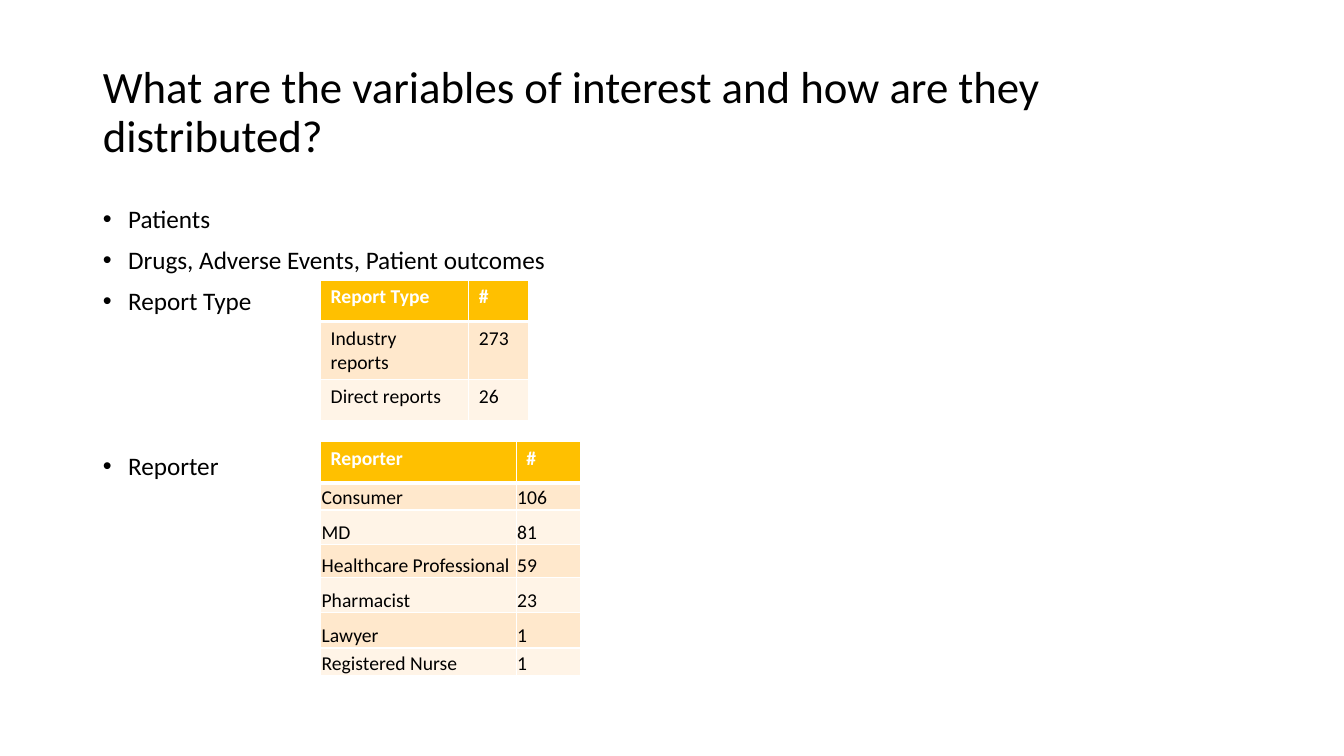
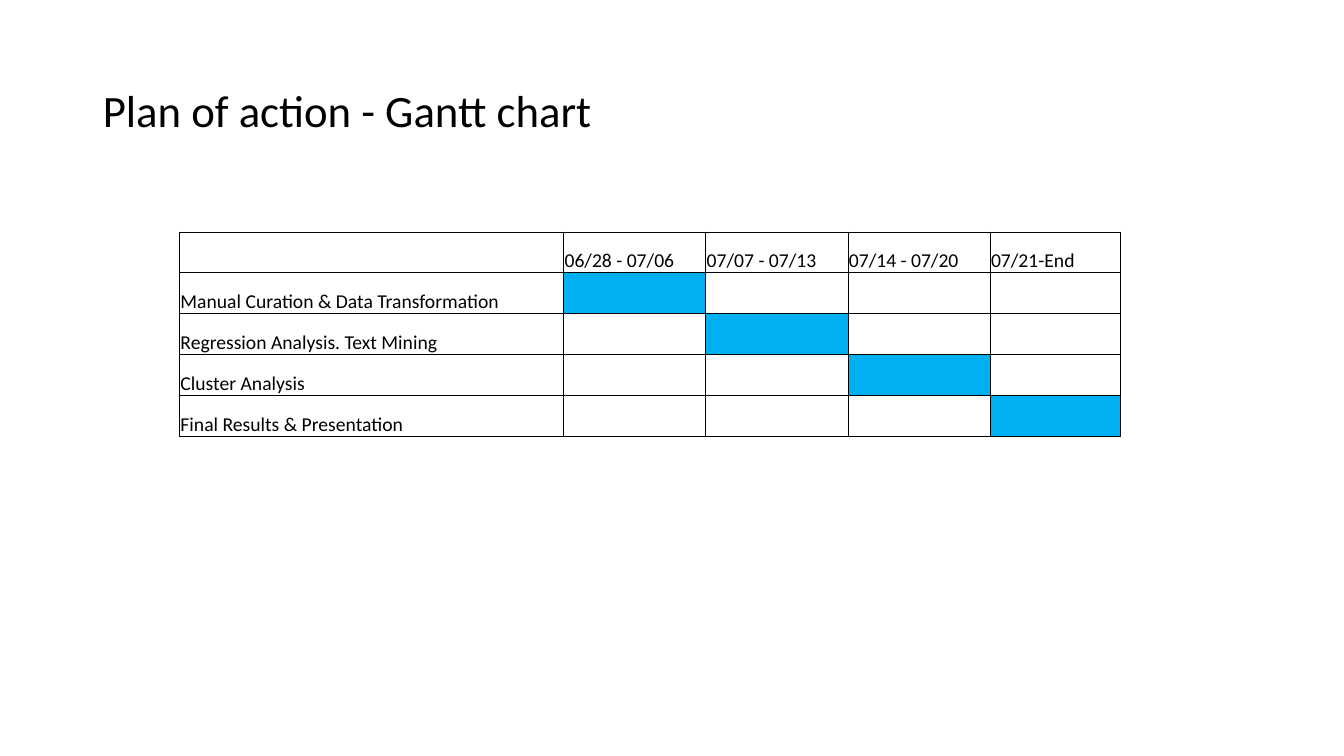
from dataclasses import dataclass

from lxml.etree import SubElement
from pptx import Presentation
from pptx.dml.color import RGBColor
from pptx.enum.text import MSO_ANCHOR, MSO_AUTO_SIZE, PP_ALIGN
from pptx.oxml.ns import qn
from pptx.slide import Slide
from pptx.table import _Cell
from pptx.util import Inches, Pt

FONT = "Calibri"
COLORS = {
    "text": "000000",
    "white": "FFFFFF",
    "header": "FFC000",
    "band_dark": "FFE8CC",
    "band_light": "FFF4E7",
    "bar": "00B0F0",
}
TITLE_AND_CONTENT, TITLE_ONLY = 1, 5
LEFT, WIDTH = 0.92, 11.5
BULLET_INDENT = 0.25


@dataclass(frozen=True)
class Bullet:
    text: str
    space_before: float = 10


@dataclass(frozen=True)
class CellStyle:
    fill: str | None = None
    color: str = "text"
    bold: bool = False
    tight: bool = True


@dataclass(frozen=True)
class TableLayout:
    left: float
    top: float
    column_widths: list[float]
    row_heights: list[float]


REPORT_TYPES = [("Report Type", "#"), ("Industry reports", "273"), ("Direct reports", "26")]
REPORTERS = [
    ("Reporter", "#"),
    ("Consumer", "106"),
    ("MD", "81"),
    ("Healthcare Professional", "59"),
    ("Pharmacist", "23"),
    ("Lawyer", "1"),
    ("Registered Nurse", "1"),
]
PERIODS = ["06/28 - 07/06", "07/07 - 07/13", "07/14 - 07/20", "07/21-End"]
# Each task fills the period of the same rank.
TASKS = [
    "Manual Curation & Data Transformation",
    "Regression Analysis. Text Mining",
    "Cluster Analysis",
    "Final Results & Presentation",
]
BULLETS = [
    Bullet("Patients"),
    Bullet("Drugs, Adverse Events, Patient outcomes"),
    Bullet("Report Type"),
    Bullet("Reporter", space_before=98),
]


def rgb(name: str) -> RGBColor:
    return RGBColor.from_string(COLORS[name])


def add_run(paragraph, text: str, size: float, color: str = "text", bold: bool = False) -> None:
    run = paragraph.add_run()
    run.text = text
    run.font.name = FONT
    run.font.size = Pt(size)
    run.font.bold = bold
    run.font.color.rgb = rgb(color)


def place(shape, top: float, height: float) -> None:
    shape.left, shape.top = Inches(LEFT), Inches(top)
    shape.width, shape.height = Inches(WIDTH), Inches(height)
    shape.text_frame.word_wrap = True
    shape.text_frame.auto_size = MSO_AUTO_SIZE.NONE


def add_titled_slide(presentation, layout_index: int, title: str) -> Slide:
    slide = presentation.slides.add_slide(presentation.slide_layouts[layout_index])
    shape = slide.shapes.title
    place(shape, 0.4, 1.45)
    shape.text_frame.vertical_anchor = MSO_ANCHOR.MIDDLE
    paragraph = shape.text_frame.paragraphs[0]
    paragraph.alignment = PP_ALIGN.LEFT
    paragraph.line_spacing = 0.9
    add_run(paragraph, title, 32)
    return slide


def fill_body(slide: Slide, bullets: list[Bullet]) -> None:
    body = slide.placeholders[1]
    place(body, 2, 4.76)
    frame = body.text_frame
    for index, bullet in enumerate(bullets):
        paragraph = frame.add_paragraph() if index else frame.paragraphs[0]
        paragraph.line_spacing = 0.9
        paragraph.space_before = Pt(bullet.space_before)
        properties = paragraph._p.get_or_add_pPr()
        properties.set("marL", str(Inches(BULLET_INDENT)))
        properties.set("indent", str(-Inches(BULLET_INDENT)))
        SubElement(properties, qn("a:buFont"), typeface="Arial")
        SubElement(properties, qn("a:buChar"), char="•")
        add_run(paragraph, bullet.text, 18)


def set_borders(cell: _Cell, color: str, width: float, **side_widths: float) -> None:
    """Draw all four borders; side_widths (L, R, T, B) override the common width."""
    properties = cell._tc.get_or_add_tcPr()
    for side in "LRTB":
        points = side_widths.get(side, width)
        line = SubElement(properties, qn(f"a:ln{side}"), w=str(Pt(points)))
        solid = SubElement(line, qn("a:solidFill"))
        SubElement(solid, qn("a:srgbClr"), val=COLORS[color])


def write_cell(cell: _Cell, text: str, style: CellStyle) -> None:
    if style.tight:
        cell.vertical_anchor = MSO_ANCHOR.BOTTOM
        cell.margin_left = cell.margin_right = cell.margin_top = Inches(0.01)
        cell.margin_bottom = 0
    if style.fill:
        cell.fill.solid()
        cell.fill.fore_color.rgb = rgb(style.fill)
    else:
        cell.fill.background()
    if text:
        add_run(cell.text_frame.paragraphs[0], text, 14, style.color, style.bold)


def add_plain_table(slide: Slide, layout: TableLayout):
    frame = slide.shapes.add_table(
        len(layout.row_heights), len(layout.column_widths),
        Inches(layout.left), Inches(layout.top),
        Inches(sum(layout.column_widths)), Inches(sum(layout.row_heights)),
    )
    table = frame.table
    table.first_row = table.horz_banding = False
    for column, width in zip(table.columns, layout.column_widths):
        column.width = Inches(width)
    for row, height in zip(table.rows, layout.row_heights):
        row.height = Inches(height)
    return table


def add_count_table(
    slide: Slide, layout: TableLayout, rows: list[tuple[str, str]], tight: bool
) -> None:
    """Add a banded table of counts with a heavy rule under its header."""
    table = add_plain_table(slide, layout)
    header = CellStyle("header", "white", bold=True, tight=False)
    bands = [CellStyle(fill, tight=tight) for fill in ("band_light", "band_dark")]
    for row_index, row in enumerate(rows):
        style = bands[row_index % 2] if row_index else header
        heavy = {0: {"B": 3}, 1: {"T": 3}}.get(row_index, {})
        for column_index, text in enumerate(row):
            cell = table.cell(row_index, column_index)
            set_borders(cell, "white", 1, **heavy)
            write_cell(cell, text, style)


def add_gantt_table(slide: Slide, layout: TableLayout) -> None:
    table = add_plain_table(slide, layout)
    rows = [["", *PERIODS]] + [[task] + [""] * len(PERIODS) for task in TASKS]
    for row_index, row in enumerate(rows):
        for column_index, text in enumerate(row):
            active = row_index == column_index > 0
            cell = table.cell(row_index, column_index)
            set_borders(cell, "text", 0.5)
            write_cell(cell, text, CellStyle("bar" if active else None))


def main() -> None:
    presentation = Presentation()
    presentation.slide_width, presentation.slide_height = Inches(13.33), Inches(7.5)

    variables = add_titled_slide(
        presentation, TITLE_AND_CONTENT,
        "What are the variables of interest and how are they distributed?",
    )
    fill_body(variables, BULLETS)
    reporter_heights = [0.41, 0.27, 0.34, 0.33, 0.35, 0.35, 0.27]
    add_count_table(
        variables, TableLayout(3.18, 4.38, [1.94, 0.64], reporter_heights), REPORTERS, tight=True
    )
    add_count_table(
        variables, TableLayout(3.18, 2.78, [1.47, 0.59], [0.41] * 3), REPORT_TYPES, tight=False
    )

    plan = add_titled_slide(presentation, TITLE_ONLY, "Plan of action - Gantt chart")
    row_count = len(TASKS) + 1
    add_gantt_table(
        plan,
        TableLayout(1.78, 2.3, [3.81, 1.41, 1.41, 1.41, 1.29], [2.03 / row_count] * row_count),
    )

    presentation.save("out.pptx")


if __name__ == "__main__":
    main()
